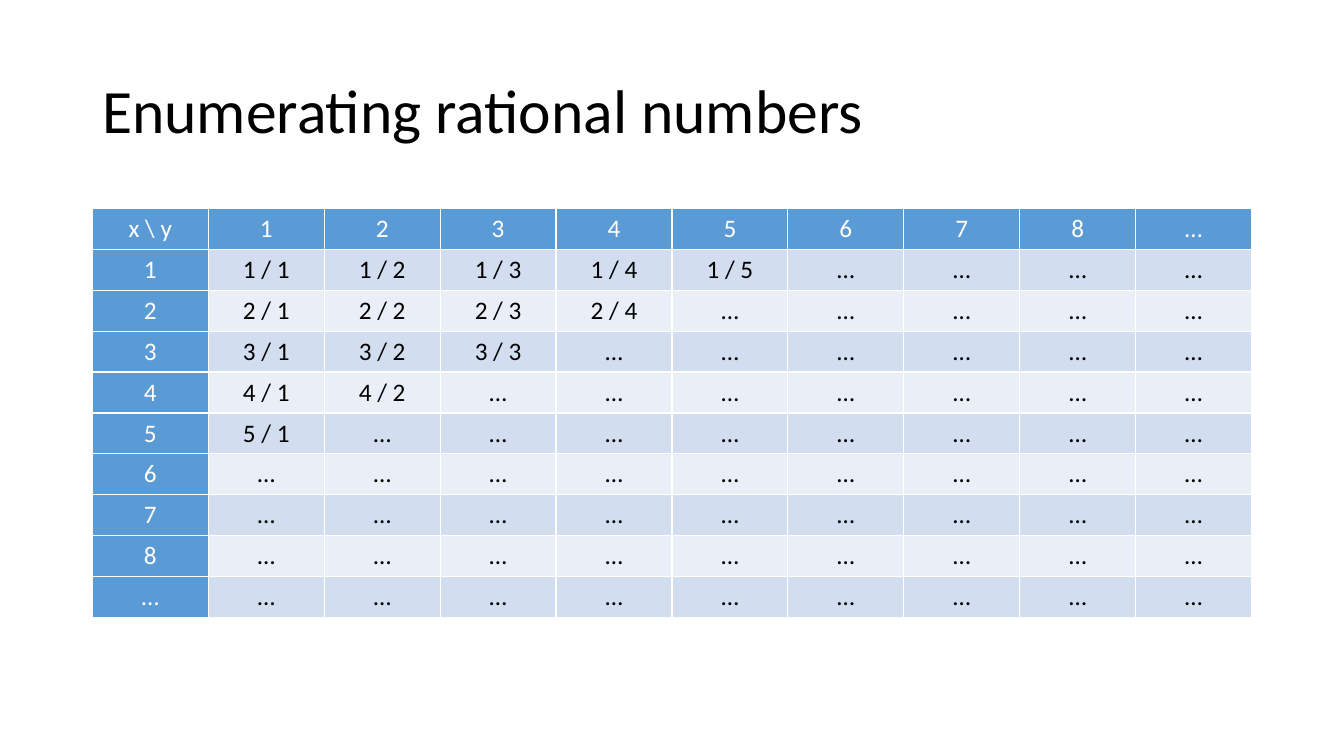
from pptx import Presentation
from pptx.dml.color import RGBColor
from pptx.enum import text
from pptx.oxml import parse_xml
from pptx.oxml import ns
from pptx.util import Pt

COLORS = {
    "header": "5B9BD5",
    "odd_row": "D2DEEF",
    "even_row": "EAEFF7",
    "dark": "000000",
    "light": "FFFFFF",
}
FONT = "Calibri"
LABELS = ["1", "2", "3", "4", "5", "6", "7", "8", "…"]
LAST_DIAGONAL = 6  # fractions are written out while x + y stays within this


def add_words(paragraph, words, size, color):
    run = paragraph.add_run()
    run.text = words
    run.font.name = FONT
    run.font.size = Pt(size)
    run.font.color.rgb = RGBColor.from_string(COLORS[color])


def add_title(slide, left, top, width, height):
    heading = slide.shapes.add_textbox(Pt(left), Pt(top), Pt(width), Pt(height))
    frame = heading.text_frame
    frame.word_wrap = True
    frame.vertical_anchor = text.MSO_ANCHOR.MIDDLE
    frame.paragraphs[0].line_spacing = 0.9
    add_words(frame.paragraphs[0], "Enumerating rational numbers", 44, "dark")


def add_borders(cell):
    properties = cell._tc.get_or_add_tcPr()
    for position, side in enumerate(("lnL", "lnR", "lnT", "lnB")):
        # Borders must come before the cell's fill
        properties.insert(position, parse_xml(
            f'<a:{side} {ns.nsdecls("a")} w="{Pt(1)}"><a:solidFill>'
            f'<a:srgbClr val="{COLORS["light"]}"/></a:solidFill></a:{side}>'))


def entry(x, y):
    """Words at row x and column y; index 0 holds the labels."""
    if x == 0 and y == 0:
        return "x \\ y"
    if x == 0 or y == 0:
        return LABELS[x + y - 1]
    return f"{x} / {y}" if x + y <= LAST_DIAGONAL else "…"


def add_fractions(slide, left, top, width, height):
    count = len(LABELS) + 1
    fractions = slide.shapes.add_table(
        count, count, Pt(left), Pt(top), Pt(width), Pt(height)).table
    fractions.first_col = True
    for column in fractions.columns:
        column.width = Pt(width / count)
    for x, row in enumerate(fractions.rows):
        row.height = Pt(height / count)
        for y, cell in enumerate(row.cells):
            is_label = x == 0 or y == 0
            band = "odd_row" if x % 2 else "even_row"
            cell.fill.solid()
            cell.fill.fore_color.rgb = RGBColor.from_string(
                COLORS["header" if is_label else band])
            add_borders(cell)
            paragraph = cell.text_frame.paragraphs[0]
            paragraph.alignment = text.PP_ALIGN.CENTER
            add_words(paragraph, entry(x, y), 18, "light" if is_label else "dark")


def main():
    deck = Presentation()
    deck.slide_width, deck.slide_height = Pt(960), Pt(540)
    slide = deck.slides.add_slide(deck.slide_layouts[6])

    # Title above the grid of fractions
    add_title(slide, 66, 28.75, 828, 104.4)
    add_fractions(slide, 66, 149, 828, 292)

    deck.save("out.pptx")


if __name__ == "__main__":
    main()
